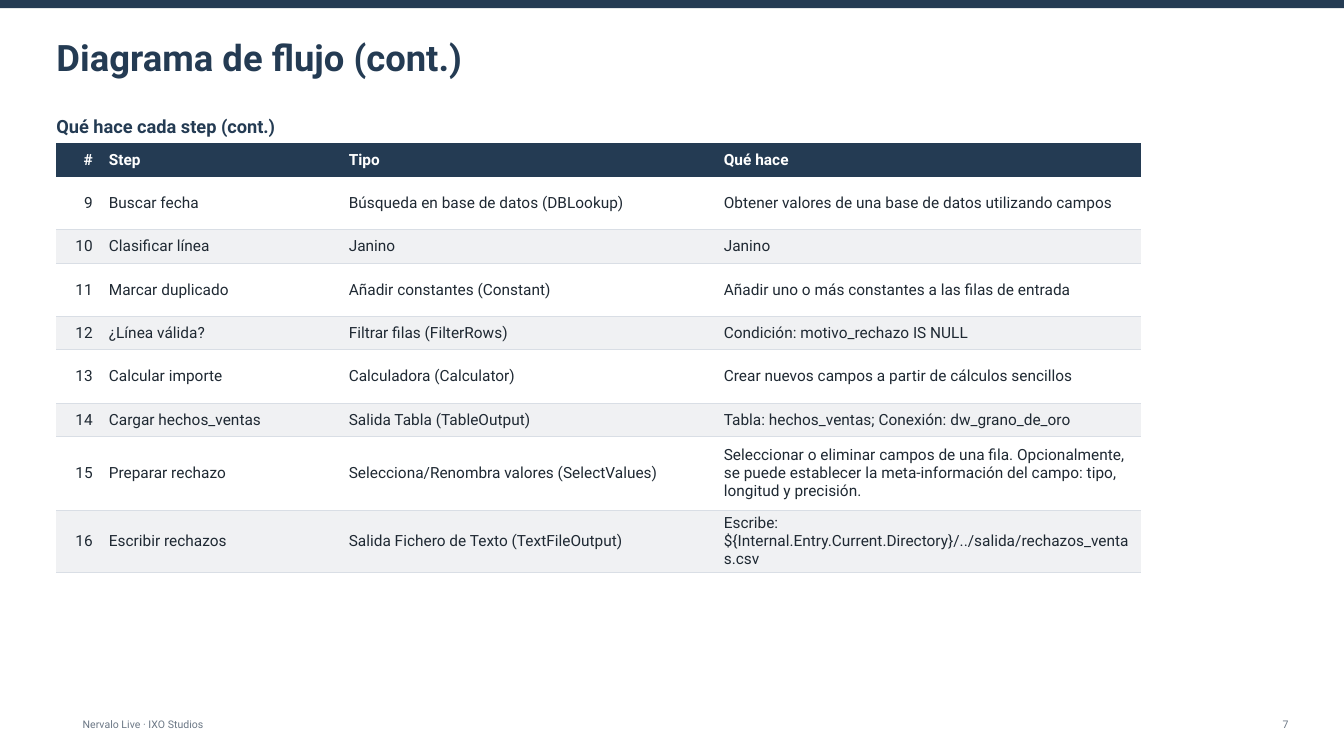
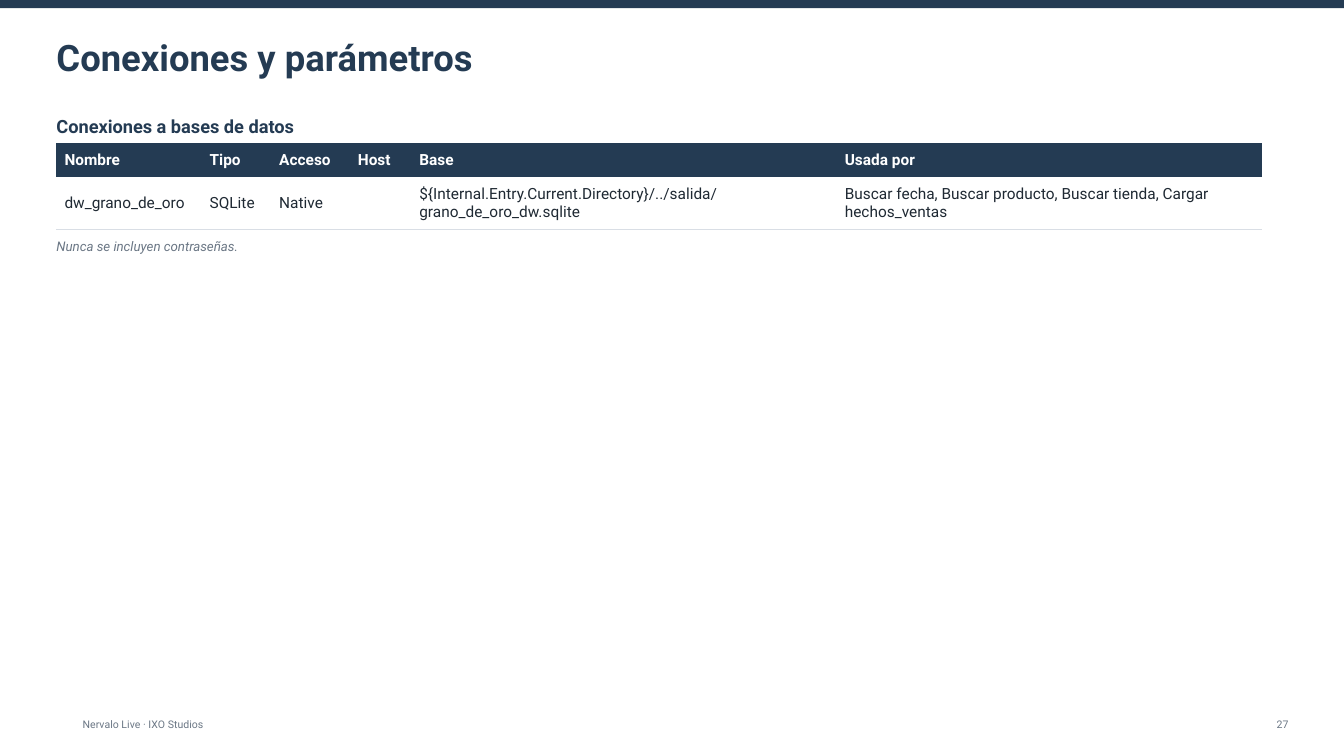
import pptx
import pptx.dml.color
import pptx.enum.shapes
import pptx.enum.text
import pptx.oxml
import pptx.oxml.ns
import pptx.util

Inches = pptx.util.Inches
Pt = pptx.util.Pt
ALIGN = pptx.enum.text.PP_ALIGN
ANCHOR = pptx.enum.text.MSO_ANCHOR

NAVY, INK, GREY, RULE = "243B53", "1F2933", "6B7785", "D9DEE5"
WHITE, BAND = "FFFFFF", "F0F1F3"
SLIDE_W, SLIDE_H = 13.33, 7.5
LEFT, WIDTH = 0.56, 12.22
FOOTER = "Nervalo Live · IXO Studios"
NO_STYLE = "{2D5ABB26-0587-4C30-8999-92F81FD0307C}"

STYLES = {
    "title": {"size": Pt(26), "bold": True, "color": NAVY},
    "heading": {"size": Pt(13), "bold": True, "color": NAVY},
    "header": {"size": Pt(11), "bold": True, "color": WHITE},
    "cell": {"size": Pt(11), "bold": False, "color": INK},
    "note": {"size": Pt(9.5), "italic": True, "color": GREY},
    "footer": {"size": Pt(7.5), "color": GREY},
}

STEPS = {
    "cols": [0.44, 2.38, 3.72, 4.22],
    "lines": [1, 2, 1, 2, 1, 2, 1, 3, 2],
    "right_cols": {0},
    "rows": [
        ["#", "Step", "Tipo", "Qué hace"],
        ["9", "Buscar fecha", "Búsqueda en base de datos (DBLookup)",
         "Obtener valores de una base de datos utilizando campos"],
        ["10", "Clasificar línea", "Janino", "Janino"],
        ["11", "Marcar duplicado", "Añadir constantes (Constant)",
         "Añadir uno o más constantes a las filas de entrada"],
        ["12", "¿Línea válida?", "Filtrar filas (FilterRows)",
         "Condición: motivo_rechazo IS NULL"],
        ["13", "Calcular importe", "Calculadora (Calculator)",
         "Crear nuevos campos a partir de cálculos sencillos"],
        ["14", "Cargar hechos_ventas", "Salida Tabla (TableOutput)",
         "Tabla: hechos_ventas; Conexión: dw_grano_de_oro"],
        ["15", "Preparar rechazo", "Selecciona/Renombra valores (SelectValues)",
         "Seleccionar o eliminar campos de una fila. Opcionalmente, se puede "
         "establecer la meta-información del campo: tipo, longitud y precisión."],
        ["16", "Escribir rechazos", "Salida Fichero de Texto (TextFileOutput)",
         "Escribe: ${Internal.Entry.Current.Directory}/../salida/rechazos_ventas.csv"],
    ],
}

CONNECTIONS = {
    "cols": [1.44, 0.69, 0.78, 0.61, 4.22, 4.22],
    "lines": [1, 2],
    "right_cols": set(),
    "rows": [
        ["Nombre", "Tipo", "Acceso", "Host", "Base", "Usada por"],
        ["dw_grano_de_oro", "SQLite", "Native", "",
         "${Internal.Entry.Current.Directory}/../salida/grano_de_oro_dw.sqlite",
         "Buscar fecha, Buscar producto, Buscar tienda, Cargar hechos_ventas"],
    ],
}


def rgb(color):
    return pptx.dml.color.RGBColor.from_string(color)


def set_attrs(obj, **values):
    for name, value in values.items():
        setattr(obj, name, value)


def write(tf, text, style, align=ALIGN.LEFT):
    p = tf.paragraphs[0]
    p.alignment = align
    values = dict(STYLES[style], name="Roboto")
    color = values.pop("color")
    font = p.font
    if text:
        r = p.add_run()
        r.text = text
        font = r.font
    set_attrs(font, **values)
    font.color.rgb = rgb(color)


def format_frame(tf, pad, anchor):
    set_attrs(tf, word_wrap=True, auto_size=pptx.enum.text.MSO_AUTO_SIZE.NONE,
              vertical_anchor=anchor, margin_left=0, margin_right=0,
              margin_top=Inches(pad), margin_bottom=Inches(pad))


def add_text(slide, box, text, style, align=ALIGN.LEFT, anchor=ANCHOR.TOP):
    tf = slide.shapes.add_textbox(*map(Inches, box)).text_frame
    format_frame(tf, 0.03, anchor)
    write(tf, text, style, align)


def add_base_slide(prs, title, number, heading):
    """Add a slide with its title, top band, footer and section heading."""
    slide = prs.slides.add_slide(prs.slide_layouts[5])
    sp = slide.shapes.title
    set_attrs(sp, left=Inches(LEFT), top=Inches(0.22),
              width=Inches(WIDTH), height=Inches(0.69))
    format_frame(sp.text_frame, 0.05, ANCHOR.MIDDLE)
    write(sp.text_frame, title, "title")

    band = slide.shapes.add_shape(pptx.enum.shapes.MSO_SHAPE.RECTANGLE,
                                  0, 0, Inches(SLIDE_W), Inches(0.08))
    band.shadow.inherit = False
    band.fill.solid()
    band.fill.fore_color.rgb = rgb(NAVY)
    band.line.fill.background()

    add_text(slide, (0.82, 7.06, 5.56, 0.25), FOOTER, "footer", anchor=ANCHOR.MIDDLE)
    add_text(slide, (11.11, 7.06, 1.67, 0.25), str(number), "footer",
             ALIGN.RIGHT, ANCHOR.MIDDLE)
    add_text(slide, (LEFT, 1.11, WIDTH, 0.28), heading, "heading")
    return slide


def add_bottom_border(cell, color):
    cell._tc.get_or_add_tcPr().append(pptx.oxml.parse_xml(
        f'<a:lnB {pptx.oxml.ns.nsdecls("a")} w="9525"><a:solidFill>'
        f'<a:srgbClr val="{color}"/></a:solidFill></a:lnB>'))


def format_cell(cell, text, row, align):
    style, fill, border = "cell", BAND if row % 2 == 0 else WHITE, RULE
    if row == 0:
        style, fill, border = "header", NAVY, NAVY
    set_attrs(cell, vertical_anchor=ANCHOR.MIDDLE,
              margin_left=Inches(0.08), margin_right=Inches(0.08),
              margin_top=Inches(0.04), margin_bottom=Inches(0.04))
    add_bottom_border(cell, border)
    cell.fill.solid()
    cell.fill.fore_color.rgb = rgb(fill)
    write(cell.text_frame, text, style, align)


def add_data_table(slide, left, top, data):
    """Add a table whose row heights follow from the lines planned for each row."""
    cols, rows = data["cols"], data["rows"]
    heights = [0.13 + 0.2 * n for n in data["lines"]]
    table = slide.shapes.add_table(
        len(rows), len(cols), Inches(left), Inches(top),
        Inches(sum(cols)), Inches(sum(heights))).table
    table._tbl.tblPr.find(pptx.oxml.ns.qn("a:tableStyleId")).text = NO_STYLE
    table.horz_banding = False
    for col, width in zip(table.columns, cols):
        col.width = Inches(width)
    for i, (row, height) in enumerate(zip(rows, heights)):
        table.rows[i].height = Inches(height)
        for j, text in enumerate(row):
            align = ALIGN.RIGHT if j in data["right_cols"] else ALIGN.LEFT
            format_cell(table.cell(i, j), text, i, align)


def main():
    prs = pptx.Presentation()
    prs.slide_width, prs.slide_height = Inches(SLIDE_W), Inches(SLIDE_H)

    slide = add_base_slide(prs, "Diagrama de flujo (cont.)", 7,
                           "Qué hace cada step (cont.)")
    add_data_table(slide, LEFT, 1.42, STEPS)

    slide = add_base_slide(prs, "Conexiones y parámetros", 27,
                           "Conexiones a bases de datos")
    add_data_table(slide, LEFT, 1.42, CONNECTIONS)
    add_text(slide, (LEFT, 2.33, WIDTH, 0.26), "Nunca se incluyen contraseñas.", "note")

    prs.save("out.pptx")


if __name__ == "__main__":
    main()
